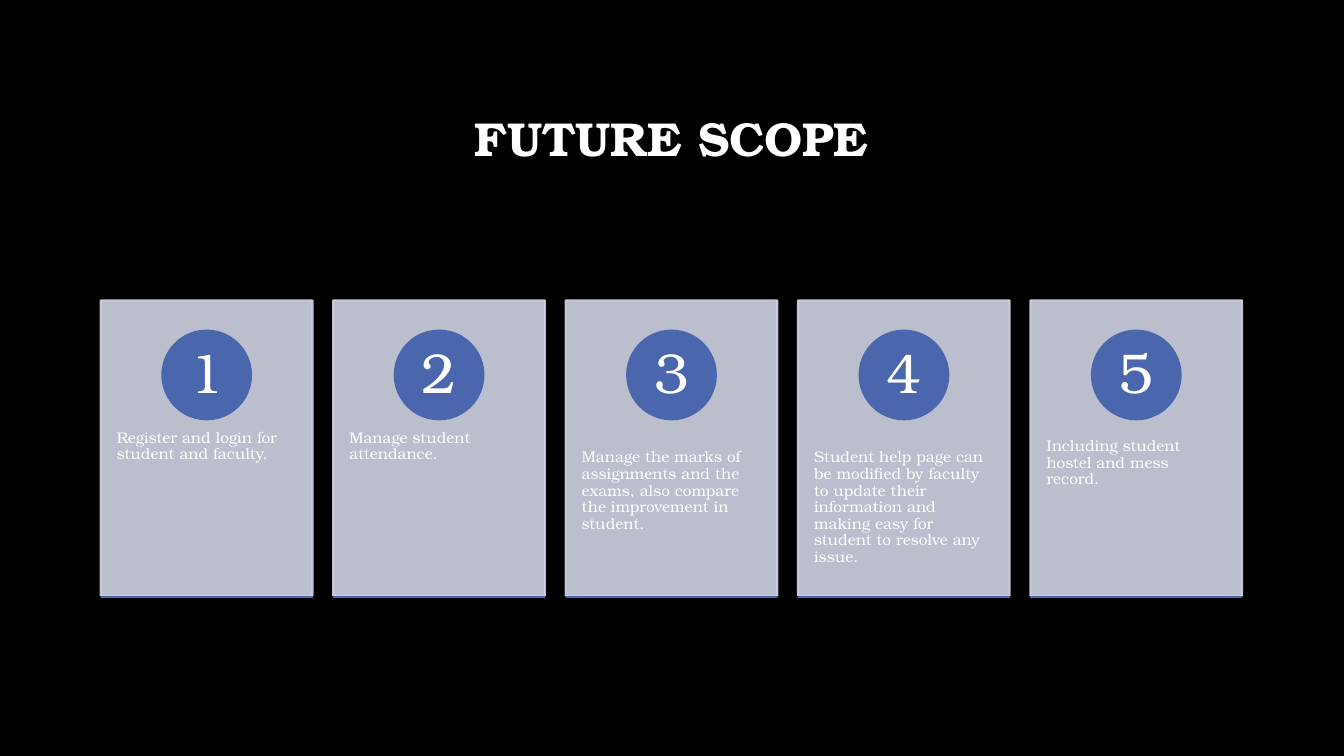
from pptx import Presentation
from pptx.dml.color import RGBColor
from pptx.enum.shapes import MSO_CONNECTOR, MSO_SHAPE
from pptx.enum.text import MSO_ANCHOR, PP_ALIGN
from pptx.oxml.ns import qn
from pptx.util import Inches, Pt
from lxml import etree

RECTANGLE, OVAL = MSO_SHAPE.RECTANGLE, MSO_SHAPE.OVAL
STRAIGHT = MSO_CONNECTOR.STRAIGHT
TOP, MIDDLE = MSO_ANCHOR.TOP, MSO_ANCHOR.MIDDLE
LEFT, CENTER = PP_ALIGN.LEFT, PP_ALIGN.CENTER

BLACK = RGBColor(0x00, 0x00, 0x00)
WHITE = RGBColor(0xFF, 0xFF, 0xFF)
BLUE = RGBColor(0x4A, 0x66, 0xAC)
PALE_BLUE = RGBColor(0xD0, 0xD3, 0xE3)

FONT = "TeX Gyre Bonum"
LINE_WIDTH = Pt(1.5)
SLIDE_WIDTH, SLIDE_HEIGHT = 13.33, 7.5
CARD_WIDTH, CARD_HEIGHT = 2.1, 2.93
CIRCLE_SIZE = 0.88

SCOPE_ITEMS = [
    "Register and login for student and faculty.",
    "Manage student attendance.",
    "Manage the marks of assignments and the exams, also compare the improvement in student.",
    "Student help page can be modified by faculty to update their information "
    "and making easy for student to resolve any issue.",
    "Including student hostel and mess record.",
]


def set_opacity(shape, percent):
    """Apply one opacity to the fill and the outline of a shape."""
    for color in shape._element.spPr.iter(qn("a:srgbClr")):
        etree.SubElement(color, qn("a:alpha")).set("val", str(percent * 1000))


def add_filled_shape(slide, kind, left, top, width, height, fill, outline=None):
    shape = slide.shapes.add_shape(
        kind, Inches(left), Inches(top), Inches(width), Inches(height))
    shape.shadow.inherit = False
    shape.fill.solid()
    shape.fill.fore_color.rgb = fill
    if outline is None:
        shape.line.fill.background()
    else:
        shape.line.color.rgb = outline
        shape.line.width = LINE_WIDTH
    return shape


def write_text(shape, text, size, alignment, anchor, inset_x, inset_y, bold=False):
    frame = shape.text_frame
    frame.word_wrap = True
    frame.vertical_anchor = anchor
    frame.margin_left = frame.margin_right = Inches(inset_x)
    frame.margin_top = frame.margin_bottom = Inches(inset_y)
    paragraph = frame.paragraphs[0]
    paragraph.text = text
    paragraph.alignment = alignment
    paragraph.line_spacing = 0.9
    paragraph.font.name = FONT
    paragraph.font.size = Pt(size)
    paragraph.font.bold = bold
    paragraph.font.color.rgb = WHITE


def add_title(slide, left, top, width, height):
    title = slide.shapes.add_textbox(
        Inches(left), Inches(top), Inches(width), Inches(height))
    write_text(title, "FUTURE SCOPE", 34, CENTER, MIDDLE, 0.1, 0.05, bold=True)


def add_card(slide, left, top, number, text):
    # Translucent panel
    panel = add_filled_shape(slide, RECTANGLE, left, top, CARD_WIDTH, CARD_HEIGHT,
                             PALE_BLUE, PALE_BLUE)
    set_opacity(panel, 90)

    # Description
    description = slide.shapes.add_textbox(
        Inches(left), Inches(top + 1.12), Inches(CARD_WIDTH), Inches(1.76))
    write_text(description, text, 11, LEFT, TOP, 0.16, 0.36)

    # Number in a circle
    circle = add_filled_shape(slide, OVAL, left + (CARD_WIDTH - CIRCLE_SIZE) / 2,
                              top + 0.3, CIRCLE_SIZE, CIRCLE_SIZE, BLUE, BLUE)
    write_text(circle, str(number), 40, CENTER, MIDDLE, 0.07, 0.01)

    # Accent line along the bottom edge
    line_y = Inches(top + CARD_HEIGHT + 0.01)
    accent = slide.shapes.add_connector(
        STRAIGHT, Inches(left), line_y, Inches(left + CARD_WIDTH), line_y)
    accent.line.color.rgb = BLUE
    accent.line.width = LINE_WIDTH
    etree.SubElement(accent._element.spPr, qn("a:effectLst"))


def add_cards(slide, left, top, width):
    pitch = (width - CARD_WIDTH) / (len(SCOPE_ITEMS) - 1)
    for index, text in enumerate(SCOPE_ITEMS):
        add_card(slide, left + index * pitch, top, index + 1, text)


def main():
    presentation = Presentation()
    presentation.slide_width = Inches(SLIDE_WIDTH)
    presentation.slide_height = Inches(SLIDE_HEIGHT)
    slide = presentation.slides.add_slide(presentation.slide_layouts[6])
    slide.background.fill.solid()
    slide.background.fill.fore_color.rgb = BLACK

    add_title(slide, 1, 0.67, 11.32, 1.45)

    # Dark band behind the cards
    band_top = 2.29
    band = add_filled_shape(slide, RECTANGLE, 0, band_top, SLIDE_WIDTH,
                            SLIDE_HEIGHT - band_top, BLACK)
    set_opacity(band, 50)

    add_cards(slide, 1, 2.98, 11.32)
    presentation.save("out.pptx")


if __name__ == "__main__":
    main()
